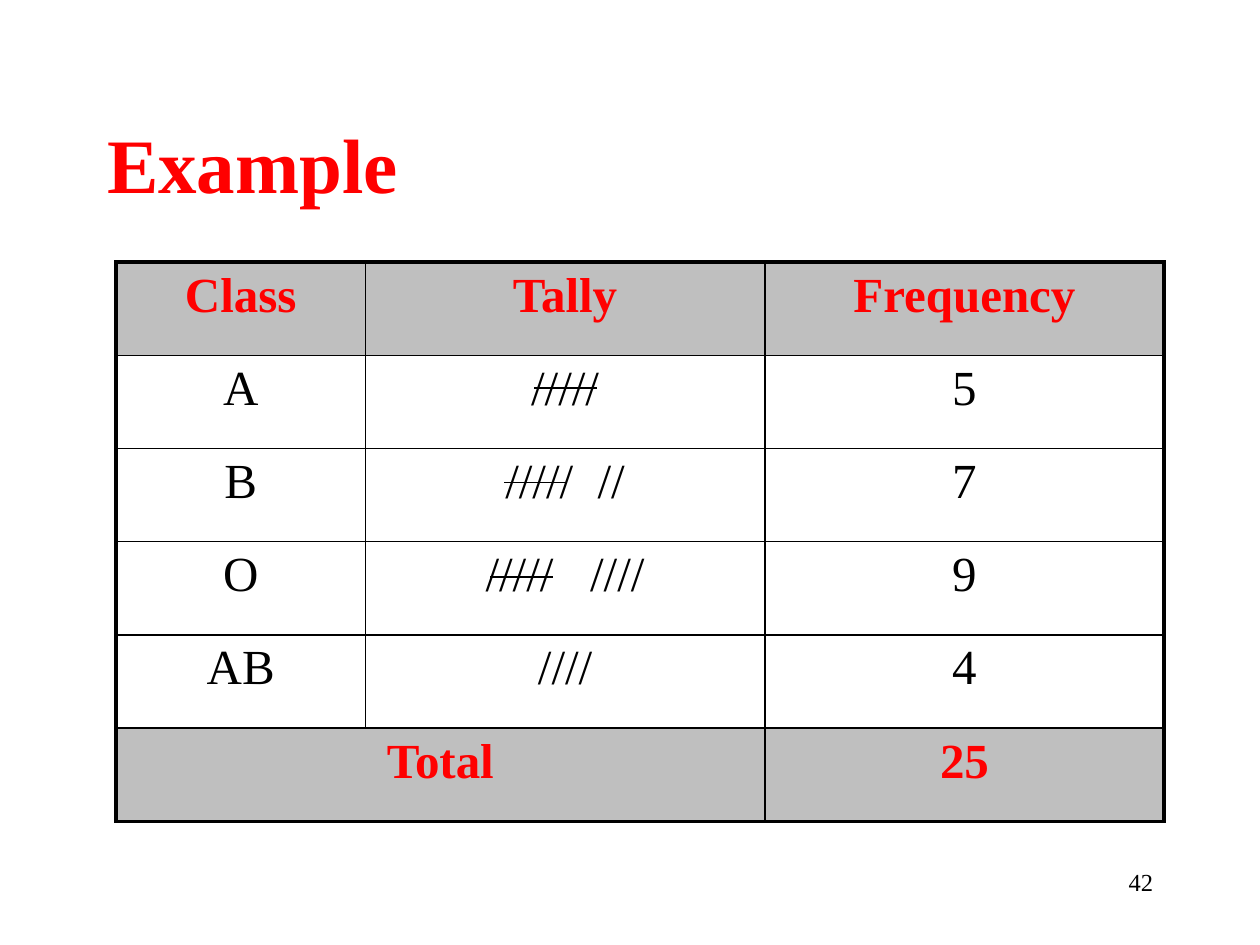
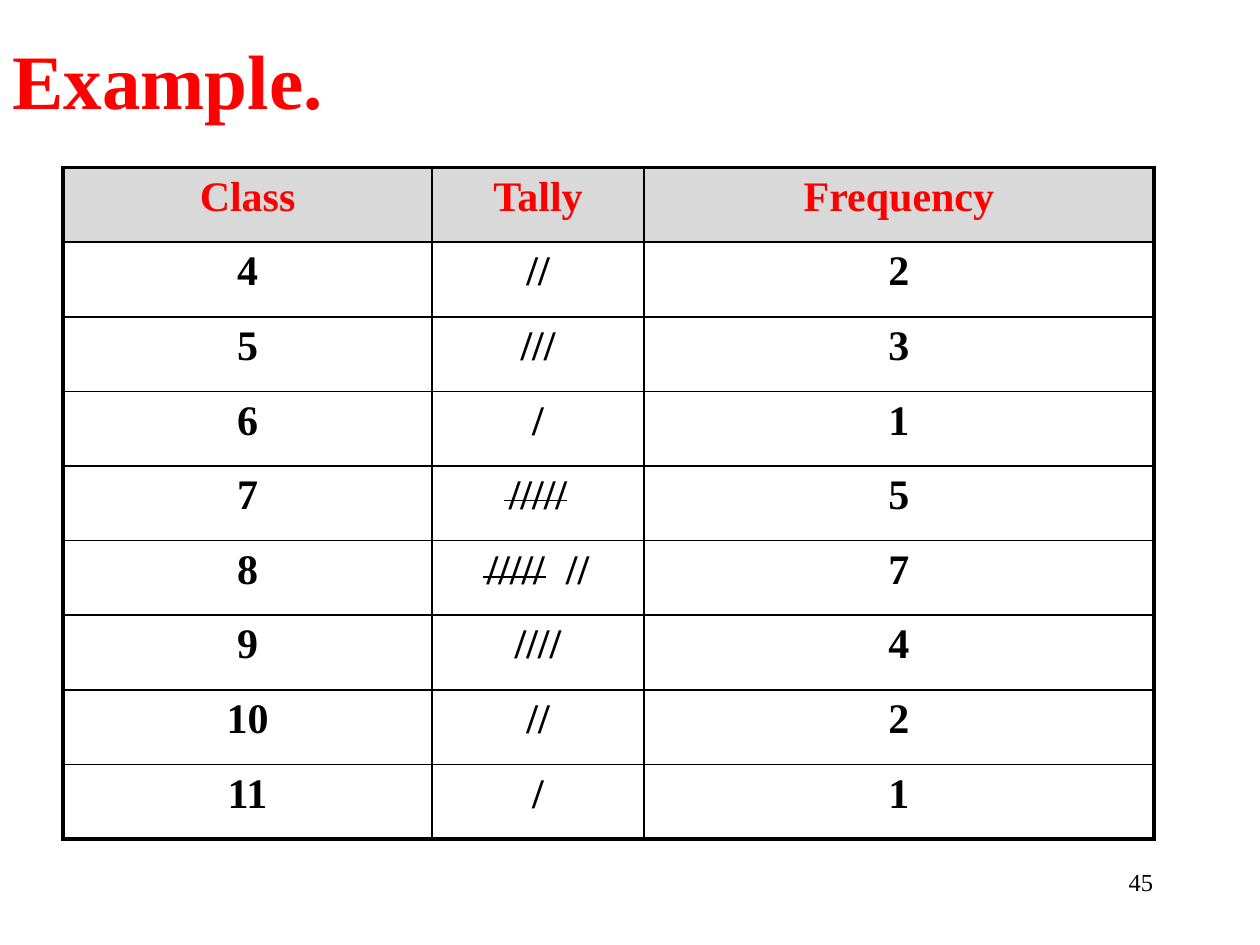
from dataclasses import dataclass

from lxml.etree import SubElement
from pptx import Presentation
from pptx.dml.color import RGBColor
from pptx.enum.shapes import MSO_CONNECTOR
from pptx.enum.text import MSO_ANCHOR, MSO_AUTO_SIZE, PP_ALIGN
from pptx.oxml.ns import qn
from pptx.slide import Slide
from pptx.table import _Cell
from pptx.util import Inches, Pt


@dataclass(frozen=True)
class Theme:
    font: str = "Times New Roman"
    red: str = "FF0000"
    black: str = "000000"
    title: int = 44
    number: int = 14
    outer: float = 2.25
    inner: float = 1
    strike: float = 0.75


@dataclass(frozen=True)
class Strike:
    """A line through five tally marks."""
    left: float
    top: float


@dataclass(frozen=True)
class Grid:
    left: float
    top: float
    height: float
    widths: tuple[float, ...]
    rows: tuple[tuple[str, ...], ...]
    shade: str
    size: int
    bold: bool
    total: bool = False


@dataclass(frozen=True)
class Page:
    title: str
    left: float
    top: float
    number: str
    grid: Grid
    strikes: tuple[Strike, ...]


THEME = Theme()
HEAD = ("Class", "Tally", "Frequency")
SPAN = 0.5  # length of a strike line

PAGES = (
    Page(
        "Example", 0.75, 0.67, "42",
        Grid(0.92, 2.08, 4.44, (1.98, 3.17, 3.17), (
            HEAD,
            ("A", "/////", "5"),
            ("B", "/////  //", "7"),
            ("O", "/////   ////", "9"),
            ("AB", "////", "4"),
            ("Total", "", "25"),
        ), "BFBFBF", 28, False, total=True),
        (Strike(4.24, 3.08), Strike(4, 3.83), Strike(3.89, 4.58)),
    ),
    Page(
        "Example.", 0, 0, "45",
        Grid(0.5, 1.33, 5.33, (2.93, 1.68, 4.05), (
            HEAD,
            ("4", "//", "2"),
            ("5", "///", "3"),
            ("6", "/", "1"),
            ("7", "/////", "5"),
            ("8", "/////  //", "7"),
            ("9", "////", "4"),
            ("10", "//", "2"),
            ("11", "/", "1"),
        ), "D9D9D9", 24, True),
        (Strike(4, 3.97), Strike(3.83, 4.58)),
    ),
)


def style(par, size: int, color: str, bold: bool, align: PP_ALIGN) -> None:
    par.alignment = align
    font = par.font
    font.name, font.size, font.bold = THEME.font, Pt(size), bold
    font.color.rgb = RGBColor.from_string(color)


def add_title(slide: Slide, page: Page) -> None:
    title = slide.shapes.title
    title.left, title.top = Inches(page.left), Inches(page.top)
    title.width, title.height = Inches(4.42), Inches(1.25)
    frame = title.text_frame
    frame.text = page.title
    frame.auto_size = MSO_AUTO_SIZE.NONE
    frame.vertical_anchor = MSO_ANCHOR.MIDDLE
    style(frame.paragraphs[0], THEME.title, THEME.red, True, PP_ALIGN.LEFT)


def set_edges(cell: _Cell, edges: dict[str, bool]) -> None:
    """Draw the four borders; True marks the outside of the table."""
    props = cell._tc.get_or_add_tcPr()
    for side, outer in edges.items():
        width = Pt(THEME.outer if outer else THEME.inner)
        line = SubElement(props, qn(f"a:ln{side}"), w=str(int(width)))
        fill = SubElement(line, qn("a:solidFill"))
        SubElement(fill, qn("a:srgbClr"), val=THEME.black)


def add_grid(slide: Slide, grid: Grid) -> None:
    rows, cols = len(grid.rows), len(grid.widths)
    table = slide.shapes.add_table(
        rows, cols, Inches(grid.left), Inches(grid.top),
        Inches(sum(grid.widths)), Inches(grid.height)).table
    table.first_row = table.horz_banding = False
    for col, width in zip(table.columns, grid.widths):
        col.width = Inches(width)

    for r, texts in enumerate(grid.rows):
        table.rows[r].height = Inches(grid.height / rows)
        band = r == 0 or (grid.total and r == rows - 1)
        for c, text in enumerate(texts):
            cell = table.cell(r, c)
            set_edges(cell, {"L": c == 0, "R": c == cols - 1,
                             "T": r == 0, "B": r == rows - 1})
            if band:
                cell.fill.solid()
                cell.fill.fore_color.rgb = RGBColor.from_string(grid.shade)
            else:
                cell.fill.background()
            cell.text = text
            style(cell.text_frame.paragraphs[0], grid.size,
                  THEME.red if band else THEME.black,
                  band or grid.bold, PP_ALIGN.CENTER)
    if grid.total:
        table.cell(rows - 1, 0).merge(table.cell(rows - 1, 1))


def add_strike(slide: Slide, mark: Strike) -> None:
    top = Inches(mark.top)
    line = slide.shapes.add_connector(
        MSO_CONNECTOR.STRAIGHT, Inches(mark.left), top,
        Inches(mark.left + SPAN), top)
    line.line.width = Pt(THEME.strike)
    line.line.color.rgb = RGBColor.from_string(THEME.black)
    SubElement(line._element.spPr, qn("a:effectLst"))


def add_number(slide: Slide, text: str) -> None:
    box = slide.shapes.add_textbox(
        Inches(7.17), Inches(6.83), Inches(2.08), Inches(0.5))
    frame = box.text_frame
    frame.word_wrap = True
    frame.text = text
    style(frame.paragraphs[0], THEME.number, THEME.black, False,
          PP_ALIGN.RIGHT)


def main() -> None:
    deck = Presentation()
    deck.slide_width, deck.slide_height = Inches(10), Inches(7.5)
    for page in PAGES:
        slide = deck.slides.add_slide(deck.slide_layouts[5])  # title only
        add_title(slide, page)
        add_grid(slide, page.grid)
        for mark in page.strikes:
            add_strike(slide, mark)
        add_number(slide, page.number)
    deck.save("out.pptx")


if __name__ == "__main__":
    main()
